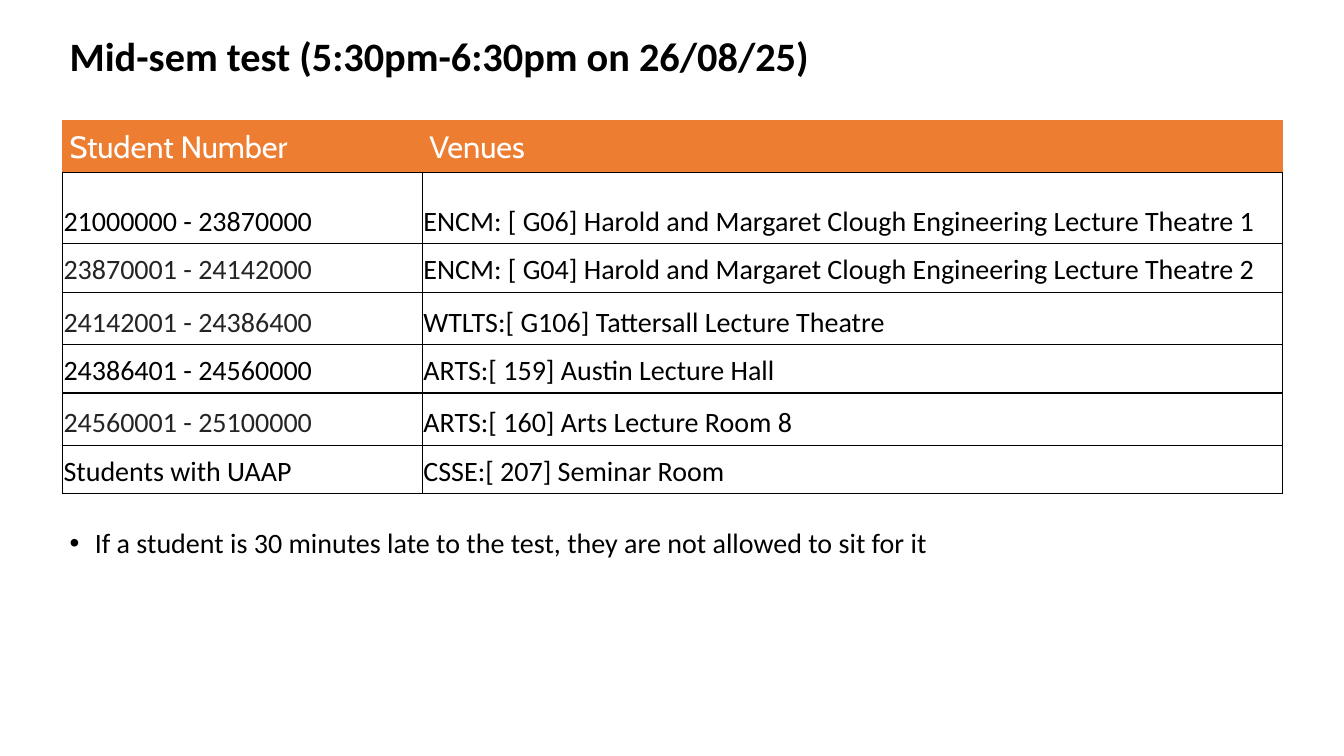
from lxml import etree
from pptx import Presentation, util as u
from pptx.dml.color import RGBColor
from pptx.enum import text
from pptx.oxml.ns import qn

COLORS = {"black": "000000", "grey": "242424", "white": "FFFFFF", "orange": "ED7D31"}
SLIDE_W, SLIDE_H = 13.33, 7.5
TITLE_BOX = (0.59, 0.18, 7.66, 0.79)
TABLE_BOX = (0.62, 1.19, 12.1, 3.71)
NOTE_BOX = (0.59, 5.2, 11.97, 1.11)
COLUMN_SHARES = (0.295, 0.705)
ROW_HEIGHTS = (0.52, 0.71, 0.48, 0.52, 0.48, 0.52, 0.48)
HEADINGS = ("Student Number", "Venues")
VENUES = [
    ("21000000 - 23870000", "ENCM: [ G06] Harold and Margaret Clough Engineering Lecture Theatre 1", "black"),
    ("23870001 - 24142000", "ENCM: [ G04] Harold and Margaret Clough Engineering Lecture Theatre 2", "grey"),
    ("24142001 - 24386400", "WTLTS:[ G106] Tattersall Lecture Theatre", "grey"),
    ("24386401 - 24560000", "ARTS:[ 159] Austin Lecture Hall", "black"),
    ("24560001 - 25100000", "ARTS:[ 160] Arts Lecture Room 8", "grey"),
    ("Students with UAAP", "CSSE:[ 207] Seminar Room", "black"),
]


def inches(values):
    return [u.Inches(v) for v in values]


def write(tf, words, size, color="black", font="Calibri", bold=False):
    """Fill a text frame with one formatted paragraph and return it."""
    tf.text = words
    p = tf.paragraphs[0]
    p.space_before = u.Pt(0)
    f = p.runs[0].font
    f.size, f.name, f.bold = u.Pt(size), font, bold
    f.color.rgb = RGBColor.from_string(COLORS[color])
    return p


def fill_placeholder(sp, box, words, size, anchor, bold=False):
    sp.left, sp.top, sp.width, sp.height = inches(box)
    tf = sp.text_frame
    tf.word_wrap = True
    tf.auto_size = text.MSO_AUTO_SIZE.NONE
    tf.vertical_anchor = anchor
    p = write(tf, words, size, bold=bold)
    p.alignment = text.PP_ALIGN.LEFT
    p.line_spacing = 0.9
    return p


def add_title(slide, box):
    fill_placeholder(slide.shapes.title, box, "Mid-sem test (5:30pm-6:30pm on 26/08/25)",
                     28.8, text.MSO_ANCHOR.MIDDLE, bold=True)


def add_note(slide, box):
    p = fill_placeholder(slide.placeholders[1], box,
                         "If a student is 30 minutes late to the test, they are not allowed to sit for it",
                         20, text.MSO_ANCHOR.TOP)
    pPr = p._p.get_or_add_pPr()
    pPr.set("marL", str(u.Inches(0.25)))
    pPr.set("indent", str(u.Inches(-0.25)))


def set_borders(cell, **sides):
    """Draw each side, L, R, T and B in that order, as (colour, points)."""
    tcPr = cell._tc.get_or_add_tcPr()
    for side, (color, width) in sides.items():
        ln = etree.SubElement(tcPr, qn(f"a:ln{side}"), w=str(u.Pt(width)))
        fill = etree.SubElement(ln, qn("a:solidFill"))
        etree.SubElement(fill, qn("a:srgbClr"), val=COLORS[color])


def set_margins(cell, left, top, right, bottom):
    cell.margin_left, cell.margin_top, cell.margin_right, cell.margin_bottom = inches(
        (left, top, right, bottom))


def format_heading(cell, words):
    edge = ("orange", 0.5)
    set_borders(cell, L=edge, R=edge, T=edge, B=("black", 1))
    cell.fill.solid()
    cell.fill.fore_color.rgb = RGBColor.from_string(COLORS["orange"])
    set_margins(cell, 0.07, 0, 0.07, 0)
    cell.vertical_anchor = text.MSO_ANCHOR.MIDDLE
    p = write(cell.text_frame, words, 22, "white", "Cabin")
    p.alignment = text.PP_ALIGN.JUSTIFY
    p.line_spacing = 1.07


def format_entry(cell, words, color):
    set_borders(cell, **dict.fromkeys("LRTB", ("black", 1)))
    cell.fill.background()
    set_margins(cell, 0.01, 0.01, 0.01, 0.05)
    cell.vertical_anchor = text.MSO_ANCHOR.BOTTOM
    write(cell.text_frame, words, 20, color)


def add_venue_table(slide, box):
    table = slide.shapes.add_table(len(ROW_HEIGHTS), len(HEADINGS), *inches(box)).table
    for column, share in zip(table.columns, COLUMN_SHARES):
        column.width = u.Inches(box[2] * share)
    for row, height in zip(table.rows, ROW_HEIGHTS):
        row.height = u.Inches(height)
    for c, words in enumerate(HEADINGS):
        format_heading(table.cell(0, c), words)
    for r, (students, venue, color) in enumerate(VENUES, 1):
        format_entry(table.cell(r, 0), students, color)
        format_entry(table.cell(r, 1), venue, "black")


def main():
    prs = Presentation()
    prs.slide_width, prs.slide_height = inches((SLIDE_W, SLIDE_H))
    slide = prs.slides.add_slide(prs.slide_layouts[1])
    add_title(slide, TITLE_BOX)
    add_venue_table(slide, TABLE_BOX)
    add_note(slide, NOTE_BOX)
    prs.save("out.pptx")


if __name__ == "__main__":
    main()
